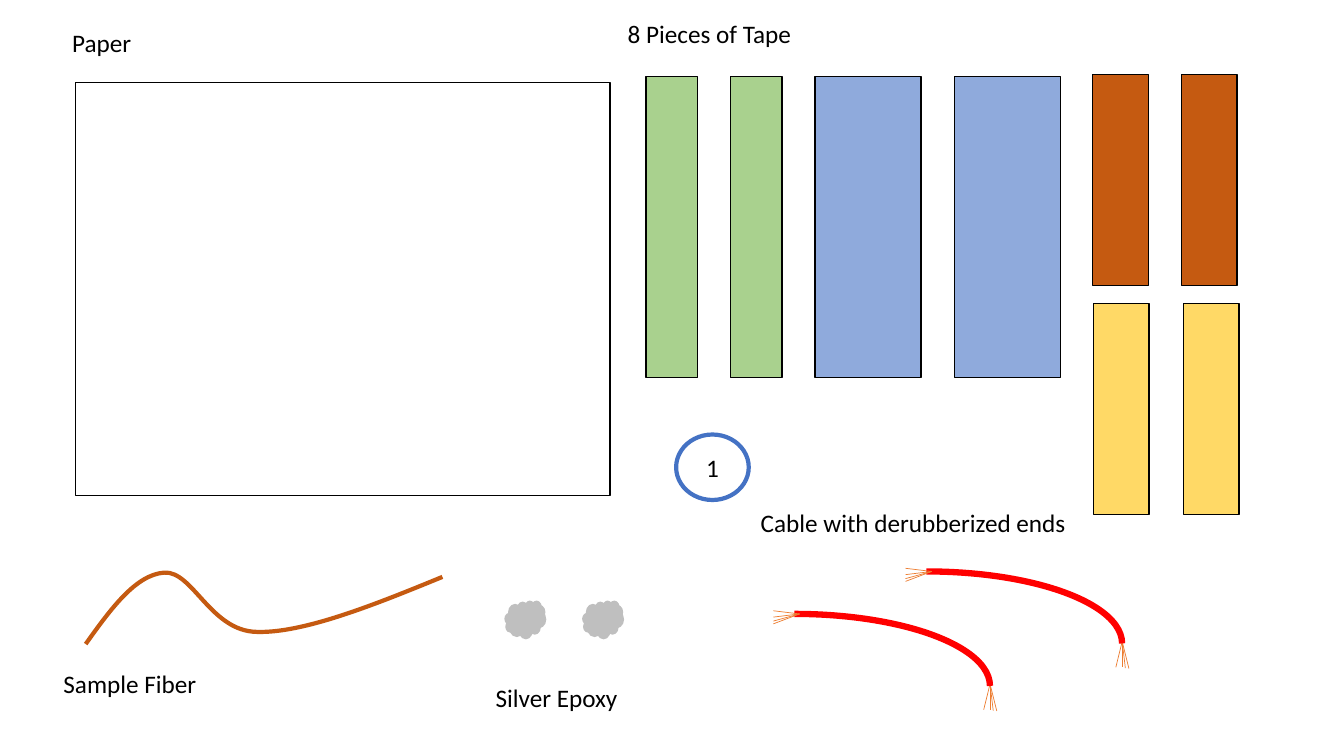
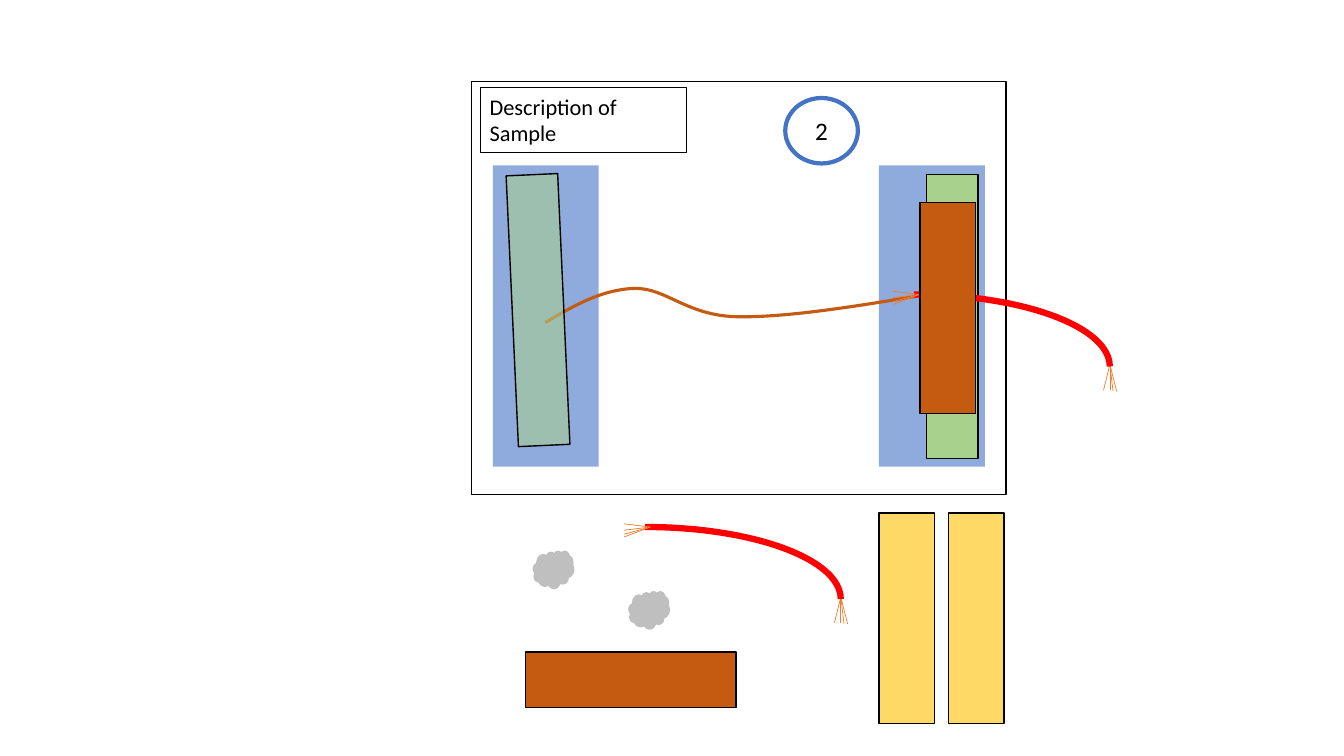
from lxml.etree import SubElement
from pptx import Presentation
from pptx.dml.color import RGBColor
from pptx.enum.shapes import MSO_CONNECTOR as Link, MSO_SHAPE as Preset
from pptx.enum.text import MSO_ANCHOR as Anchor, PP_ALIGN as Align
from pptx.oxml.ns import qn
from pptx.util import Cm, Pt

COLORS = {
    "black": "000000", "paper": "FFFFFF", "green": "A9D18E", "blue": "8FAADC",
    "brown": "C55A11", "yellow": "FFD966", "epoxy": "BFBFBF",
    "cable": "FF0000", "strand": "ED7D31", "step": "4472C4",
}
FONT = "Calibri"
PAPER = (13.46, 10.41)
TAPE = {"green": (1.3, 7.59), "blue": (2.67, 7.59),
        "brown": (1.4, 5.31), "yellow": (1.4, 5.31)}
ARC = (9.86, 3.63)
LEFT_STRANDS = [(-0.66, 0.25), (-0.66, -0.08), (-0.66, 0.08), (-0.66, 0.18)]
LOWER_STRANDS = [(0.17, 0.68), (-0.16, 0.65), (0, 0.65), (0.08, 0.67)]
FIBER_CURVE = [(0, 1), (0.07, 0.51), (0.14, 0.03), (0.22, 0),
               (0.3, -0.03), (0.35, 0.82), (0.48, 0.83),
               (0.61, 0.85), (0.81, 0.45), (1, 0.06)]


def rgb(name):
    """Return the named palette colour."""
    return RGBColor.from_string(COLORS[name])


def style(part, fill=None, line=None, width=1):
    """Give a part its fill and outline and remove its shadow."""
    part.shadow.inherit = False
    if fill:
        part.fill.solid()
        part.fill.fore_color.rgb = rgb(fill)
    else:
        part.fill.background()
    if line:
        part.line.color.rgb = rgb(line)
        part.line.width = Pt(width)
    else:
        part.line.fill.background()


def draw(shapes, preset, left, top, size, fill=None, line=None, width=1):
    """Draw one styled preset shape."""
    part = shapes.add_shape(preset, Cm(left), Cm(top), *map(Cm, size))
    style(part, fill, line, width)
    return part


def write(frame, words, size=18, align=Align.LEFT):
    """Write one run of black text into a frame."""
    frame.word_wrap = True
    paragraph = frame.paragraphs[0]
    paragraph.alignment = align
    run = paragraph.add_run()
    run.text = words
    run.font.name = FONT
    run.font.size = Pt(size)
    run.font.color.rgb = rgb("black")


def label(shapes, words, left, top, size=(6.3, 1.02), points=18):
    """Place a text label and return it."""
    caption = shapes.add_textbox(Cm(left), Cm(top), *map(Cm, size))
    write(caption.text_frame, words, points)
    return caption


def tape(shapes, color, left, top, size=None, line="black"):
    """Place a piece of tape of the given colour."""
    return draw(shapes, Preset.RECTANGLE, left, top, size or TAPE[color], color, line)


def paper(shapes, left, top):
    """Place the sheet of paper."""
    draw(shapes, Preset.RECTANGLE, left, top, PAPER, "paper", "black")


def epoxy(shapes, left, top):
    """Place a drop of silver epoxy."""
    draw(shapes, Preset.CLOUD, left, top, (1.02, 0.94), "epoxy", "epoxy")


def step(shapes, number, left, top):
    """Place the circled step number."""
    circle = draw(shapes, Preset.OVAL, left, top, (1.83, 1.65), None, "step", 3)
    circle.text_frame.vertical_anchor = Anchor.MIDDLE
    write(circle.text_frame, number, align=Align.CENTER)


def fiber(shapes, left, top, size, width):
    """Draw the sample fiber as Bezier curves inside its box."""
    points = [(Cm(left + x * size[0]), Cm(top + y * size[1])) for x, y in FIBER_CURVE]
    builder = shapes.build_freeform(*points[0])
    builder.add_line_segments(points[1:], close=False)
    strand = builder.convert_to_shape()
    outline = strand.element.find(".//" + qn("a:path"))
    corners = outline.findall(qn("a:lnTo"))
    for first in range(0, len(corners), 3):
        curve = SubElement(outline, qn("a:cubicBezTo"))
        for corner in corners[first:first + 3]:
            curve.append(corner[0])
            outline.remove(corner)
    style(strand, None, "brown", width)


def strands(shapes, x, y, ends):
    """Fan out the bare wires from one end of a cable."""
    for dx, dy in ends:
        wire = shapes.add_connector(Link.STRAIGHT, Cm(x), Cm(y), Cm(x + dx), Cm(y + dy))
        wire.line.color.rgb = rgb("strand")
        wire.line.width = Pt(0.5)
        SubElement(wire.element.spPr, qn("a:effectLst"))


def cable(shapes, left, top):
    """Draw a red cable with bare wires at both ends."""
    parts = shapes.add_group_shape().shapes
    width, height = ARC
    strands(parts, left + width, top + height / 2 - 0.05, LOWER_STRANDS)
    draw(parts, Preset.ARC, left, top, ARC, None, "cable", 4.5)
    strands(parts, left + width / 2 + 0.13, top, LEFT_STRANDS)


def tape_set(shapes, left, top):
    """Lay out the eight pieces of tape with their heading."""
    label(shapes, "8 Pieces of Tape", left - 0.71, top - 1.6)
    for color, x, y, pitch in [("green", 0, 0, 2.13), ("blue", 4.26, 0, 3.51),
                               ("brown", 11.26, -0.05, 2.24),
                               ("yellow", 11.28, 5.72, 2.27)]:
        for column in range(2):
            tape(shapes, color, left + x + column * pitch, top + y)


def materials(shapes, left, top):
    """Lay out paper, fiber, epoxy and cables with their labels."""
    paper(shapes, left, top)
    label(shapes, "Paper", left - 0.34, top - 1.52)
    fiber(shapes, left + 0.25, top + 12.35, (8.99, 1.8), 3)
    label(shapes, "Sample Fiber", left - 0.56, top + 14.63)
    for x in (10.82, 12.78):
        epoxy(shapes, left + x, top + 13.07)
    label(shapes, "Silver Epoxy", left + 10.33, top + 14.99)
    for x, y in [(16.51, 12.32), (13.18, 13.39)]:
        cable(shapes, left + x, top + y)
    label(shapes, "Cable with derubberized ends", left + 17.01, top + 10.57, (8.84, 1.02))


def mounted_sample(shapes, left, top):
    """Assemble the taped fiber and first cable on the paper."""
    paper(shapes, left, top)
    for x in (0.53, 10.26):
        tape(shapes, "blue", left + x, top + 2.11, line=None)
    fiber(shapes, left + 1.85, top + 5.21, (10.19, 0.86), 2.25)
    tape(shapes, "green", left + 11.46, top + 2.34, (1.3, 7.16))
    tilted = tape(shapes, "green", left + 1.02, top + 2.34, (1.3, 6.83))
    tilted.rotation = 357.4
    tint = tilted.element.spPr.find(qn("a:solidFill"))[0]
    SubElement(tint, qn("a:alpha"), val="56000")
    cable(shapes, left + 6.22, top + 5.36)
    tape(shapes, "brown", left + 11.3, top + 3.05)
    description = label(shapes, "Description of Sample", left + 0.2, top + 0.15,
                        (5.21, 1.63), 16)
    description.line.color.rgb = rgb("black")
    description.line.width = Pt(0.25)
    step(shapes, "2", left + 7.9, top + 0.41)


def spare_parts(shapes, left, top):
    """Lay out the parts still waiting below the paper."""
    cable(shapes, left, top + 0.35)
    for x, y in [(2.11, 0.96), (4.52, 1.98)]:
        epoxy(shapes, left + x, top + y)
    for x in (10.82, 12.57):
        tape(shapes, "yellow", left + x, top)
    tape(shapes, "brown", left + 3.86, top + 1.55).rotation = 90


def main():
    """Build the two assembly slides and save them."""
    deck = Presentation()
    deck.slide_width, deck.slide_height = Cm(33.87), Cm(19.05)
    blank = deck.slide_layouts[6]

    supplies = deck.slides.add_slide(blank).shapes
    materials(supplies, 1.91, 2.08)
    tape_set(supplies, 16.28, 1.93)
    step(supplies, "1", 17.04, 10.95)

    assembly = deck.slides.add_slide(blank).shapes
    mounted_sample(assembly, 11.89, 2.06)
    spare_parts(assembly, 11.33, 12.93)
    deck.save("out.pptx")


if __name__ == "__main__":
    main()
